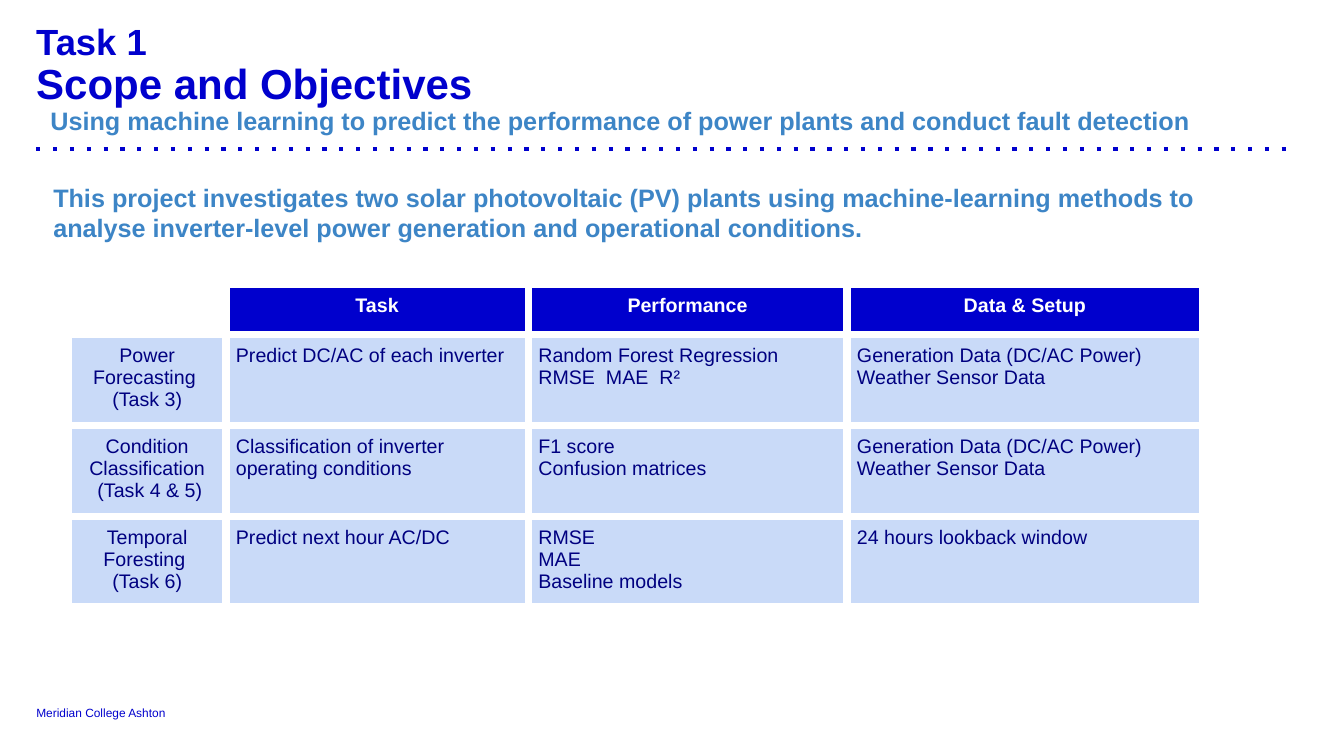
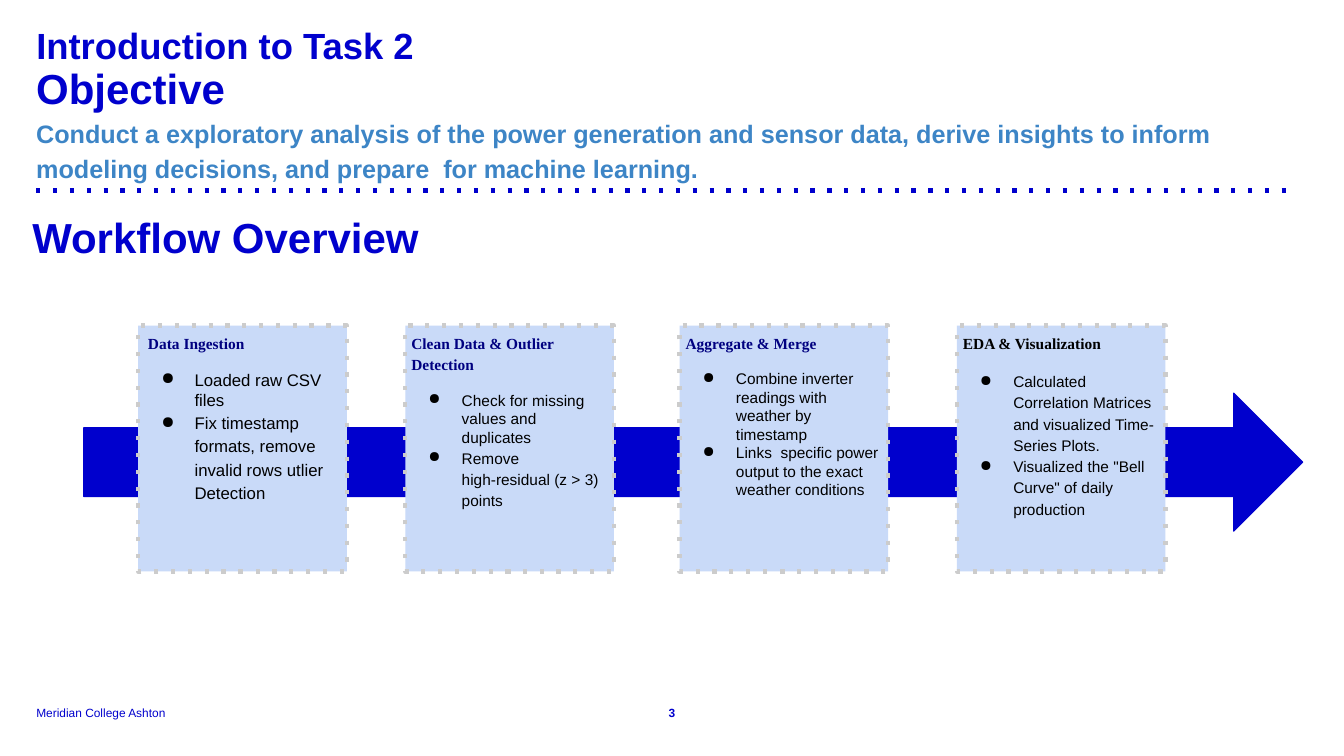
import pptx
import pptx.util
import pptx.dml.color
import pptx.enum.dml
import pptx.enum.shapes
import pptx.enum.text
import pptx.oxml
import pptx.oxml.ns
import lxml.etree

Inches = pptx.util.Inches
Pt = pptx.util.Pt
qn = pptx.oxml.ns.qn
Shape = pptx.enum.shapes.MSO_SHAPE
Align = pptx.enum.text.PP_ALIGN
Anchor = pptx.enum.text.MSO_ANCHOR

BLUE, SKY, PALE, NAVY = "0000CD", "3D85C6", "C9DAF8", "000080"
WHITE, BLACK, GREY = "FFFFFF", "000000", "CCCCCC"


def hue(code):
    return pptx.dml.color.RGBColor.from_string(code)


def write(frame, lines, inset=0, anchor=Anchor.TOP):
    frame.word_wrap = True
    frame.vertical_anchor = anchor
    for side in ("left", "right", "top", "bottom"):
        setattr(frame, "margin_" + side, Inches(inset))
    for i, (text, style) in enumerate(lines):
        para = frame.paragraphs[0] if i == 0 else frame.add_paragraph()
        for key, value in {"alignment": Align.LEFT, **style.get("para", {})}.items():
            setattr(para, key, value)
        props = para._p.get_or_add_pPr()
        left, first = style.get("indent", (0, 0))
        props.set("marL", str(Inches(left)))
        props.set("indent", str(Inches(first)))
        if "bullet" in style:
            tint = lxml.etree.SubElement(props, qn("a:buClr"))
            lxml.etree.SubElement(tint, qn("a:srgbClr"), val=BLACK)
            lxml.etree.SubElement(props, qn("a:buChar"), char=style["bullet"])
        run = para.add_run()
        run.text = text
        run.font.color.rgb = hue(style["color"])
        for key, value in {"name": "Arial", **style["font"]}.items():
            setattr(run.font, key, value)


deck = pptx.Presentation()
deck.slide_width, deck.slide_height = Inches(13.33), Inches(7.5)
scope, flow = [deck.slides.add_slide(deck.slide_layouts[6]) for _ in range(2)]

tight = {"line_spacing": 0.9}
title = {"font": {"size": Pt(26), "bold": True}, "color": BLUE, "para": tight}
head = {"font": {"size": Pt(30), "bold": True}, "color": BLUE, "para": tight}
lead = {"font": {"size": Pt(18), "bold": True}, "color": SKY}
foot = {"font": {"size": Pt(8.5)}, "color": BLUE}
page = {"font": {"size": Pt(8.5), "bold": True}, "color": BLUE,
        "para": {"alignment": Align.CENTER}}

dotted = []
for slide, y in ((scope, 1.48), (flow, 1.89)):
    rule = slide.shapes.add_connector(
        pptx.enum.shapes.MSO_CONNECTOR.STRAIGHT,
        Inches(0.36), Inches(y), Inches(12.86), Inches(y))
    rule.line.color.rgb = hue(BLUE)
    lxml.etree.SubElement(rule.element.spPr, qn("a:effectLst"))
    dotted.append(rule)

texts = [
    (slide, (0.36, 6.99, 1.55, 0.15), 0, Anchor.BOTTOM,
     [("Meridian College Ashton", foot)]) for slide in (scope, flow)
] + [
    (scope, (0.36, 0.24, 12.07, 1.22), 0, Anchor.TOP, [
        ("Task 1", title),
        ("Scope and Objectives", head),
        ("Using machine learning to predict the performance of power plants "
         "and conduct fault detection",
         {**lead, "para": tight, "indent": (0.14, 0)})]),
    (scope, (0.43, 1.71, 11.75, 0.71), 0.1, Anchor.TOP, [
        ("This project investigates two solar photovoltaic (PV) plants using "
         "machine-learning methods to analyse inverter-level power generation "
         "and operational conditions.", lead)]),
    (flow, (0.36, 0.28, 12.62, 0.41), 0, Anchor.TOP,
     [("Introduction to Task 2", title)]),
    (flow, (0.26, 0.58, 12.62, 1.13), 0.1, Anchor.TOP, [
        ("Objective", head),
        ("Conduct a exploratory analysis of the power generation and sensor "
         "data, derive insights to inform modeling decisions, and prepare  for "
         "machine learning.", {**lead, "para": {"line_spacing": 1.15}})]),
    (flow, (0.32, 2.07, 12.69, 0.57), 0, Anchor.TOP,
     [("Workflow Overview", {**head, "para": {"line_spacing": 1.05}})]),
    (flow, (6.49, 6.99, 0.35, 0.15), 0, Anchor.BOTTOM, [("3", page)]),
]
for slide, place, inset, anchor, lines in texts:
    box = slide.shapes.add_textbox(*map(Inches, place))
    write(box.text_frame, lines, inset, anchor)

weather = ["Generation Data (DC/AC Power)", "Weather Sensor Data"]
rows = [
    [[], ["Task"], ["Performance"], ["Data & Setup"]],
    [["Power Forecasting ", "(Task 3)"], ["Predict DC/AC of each inverter"],
     ["Random Forest Regression", "RMSE  MAE  R²"], weather],
    [["Condition Classification", " (Task 4 & 5)"],
     ["Classification of inverter operating conditions"],
     ["F1 score", "Confusion matrices"], weather],
    [["Temporal Foresting ", "(Task 6)"], ["Predict next hour AC/DC"],
     ["RMSE", "MAE", "Baseline models"], ["24 hours lookback window"]],
]
widths, heights = [1.56, 3, 3.16, 3.53], [0.42, 0.86, 0.86, 0.86]
grid = scope.shapes.add_table(
    len(rows), len(widths), Inches(0.68), Inches(2.82),
    Inches(sum(widths)), Inches(sum(heights))).table
for col, width in zip(grid.columns, widths):
    col.width = Inches(width)
for r, row in enumerate(rows):
    grid.rows[r].height = Inches(heights[r])
    for c, lines in enumerate(row):
        cell = grid.cell(r, c)
        cell.fill.solid()
        cell.fill.fore_color.rgb = hue(PALE if r else BLUE if c else WHITE)
        for side in ("left", "right", "top", "bottom"):
            setattr(cell, "margin_" + side, Inches(0.1))
        mid = r == 0 or c == 0
        style = {"font": {"size": Pt(14), "bold": r == 0},
                 "color": NAVY if r else WHITE,
                 "para": {"alignment": Align.CENTER if mid else Align.LEFT}}
        write(cell.text_frame, [(text, style) for text in lines], 0.1)
        props = cell._tc.get_or_add_tcPr()
        for i, side in enumerate("LRTB"):
            edge = lxml.etree.Element(qn("a:ln" + side), w=str(Pt(6)))
            fill = lxml.etree.SubElement(edge, qn("a:solidFill"))
            lxml.etree.SubElement(fill, qn("a:srgbClr"), val=WHITE)
            props.insert(i, edge)

arrow = flow.shapes.add_shape(
    Shape.RIGHT_ARROW, Inches(0.83), Inches(3.9), Inches(12.09), Inches(1.37))
arrow.shadow.inherit = False
arrow.fill.solid()
arrow.fill.fore_color.rgb = arrow.line.color.rgb = hue(BLUE)
arrow.line.width = Pt(0.75)

steps = [
    (1.37, " Data Ingestion", NAVY, 12, [
        ("Loaded raw CSV files", 1.0),
        ("Fix timestamp formats, remove invalid rows utlier Detection", 1.15)]),
    (4.02, "Clean Data & Outlier Detection", NAVY, 11, [
        ("Check for missing values and duplicates", 1.0),
        ("Remove high‑residual (z > 3) points", 1.15)]),
    (6.74, "Aggregate & Merge", NAVY, 11, [
        ("Combine inverter readings with weather by timestamp", 1.0),
        ("Links  specific power output to the exact weather conditions", 1.0)]),
    (9.49, "EDA & Visualization", BLACK, 11, [
        ("Calculated Correlation Matrices and visualized Time-Series Plots.", 1.15),
        ('Visualized the "Bell Curve" of daily production', 1.15)]),
]
for left, name, color, size, points in steps:
    card = flow.shapes.add_shape(
        Shape.RECTANGLE, Inches(left), Inches(3.23), Inches(2.07), Inches(2.44))
    card.shadow.inherit = False
    card.fill.solid()
    card.fill.fore_color.rgb = hue(PALE)
    card.line.color.rgb = hue(GREY)
    dotted.append(card)
    lines = [(name, {
        "font": {"name": "Times New Roman", "size": Pt(11), "bold": True},
        "color": color, "para": {"line_spacing": 1.15, "space_before": Pt(12)}})]
    for i, (text, space) in enumerate(points):
        lines.append((text, {
            "font": {"size": Pt(size), "bold": False}, "color": BLACK,
            "para": {"line_spacing": space, "space_before": Pt(0 if i else 12)},
            "indent": (0.5, -0.33), "bullet": "●"}))
    write(card.text_frame, lines, 0.06)

for item in dotted:
    item.line.width = Pt(3)
    item.line.dash_style = pptx.enum.dml.MSO_LINE.ROUND_DOT
    for dash in item.element.iter(qn("a:prstDash")):
        dash.set("val", "dot")

deck.save("out.pptx")
